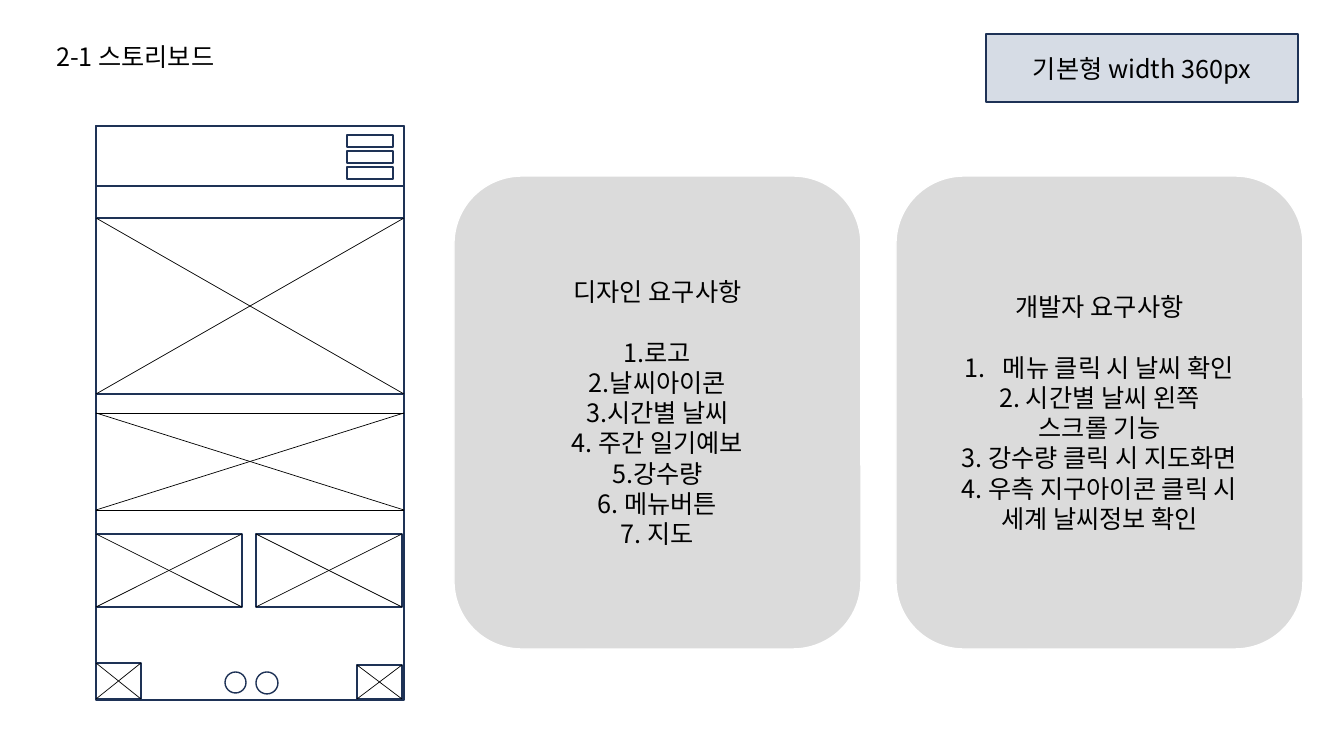
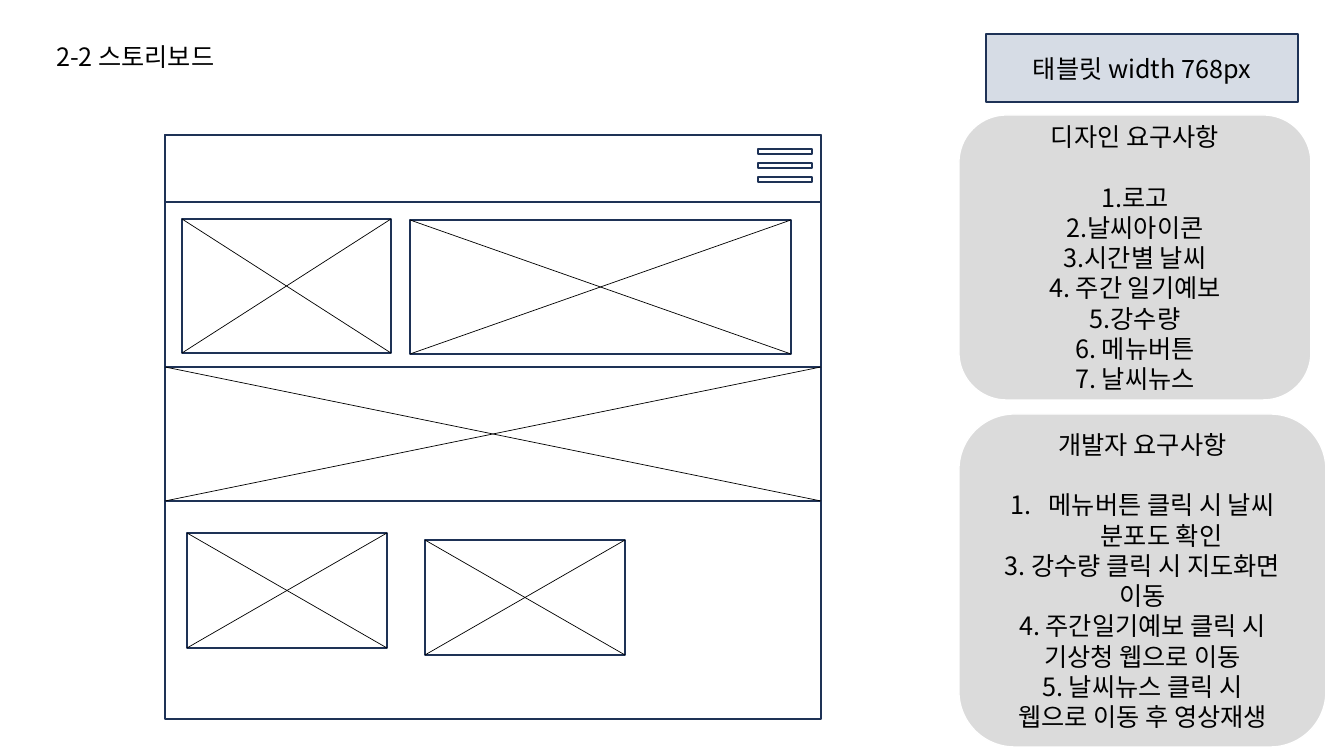
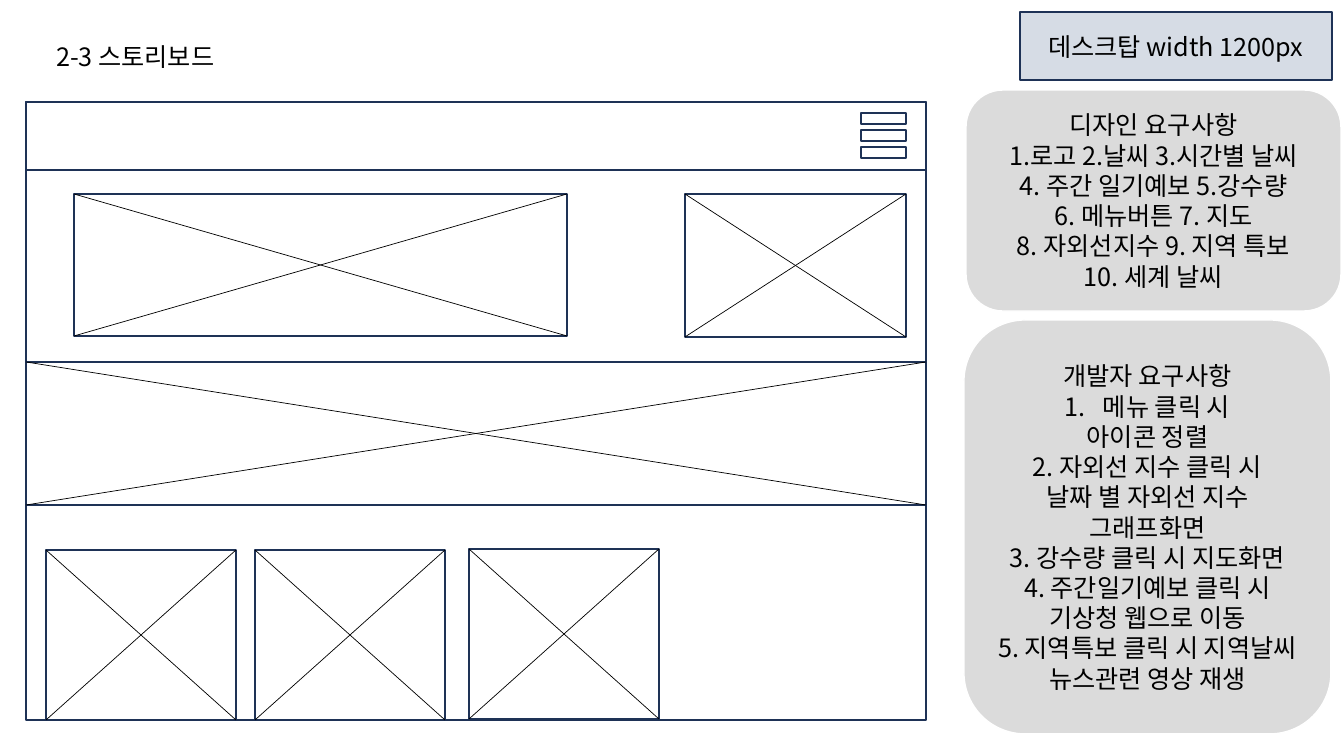
from dataclasses import dataclass

from lxml import etree
from pptx import Presentation
from pptx.dml.color import RGBColor
from pptx.enum.shapes import MSO_CONNECTOR, MSO_SHAPE
from pptx.enum.text import MSO_ANCHOR, PP_ALIGN
from pptx.oxml.ns import qn
from pptx.util import Emu, Pt

RECT, ROUND, OVAL = MSO_SHAPE.RECTANGLE, MSO_SHAPE.ROUNDED_RECTANGLE, MSO_SHAPE.OVAL
STRAIGHT = MSO_CONNECTOR.STRAIGHT
TOP, MIDDLE = MSO_ANCHOR.TOP, MSO_ANCHOR.MIDDLE
LEFT, CENTER = PP_ALIGN.LEFT, PP_ALIGN.CENTER

# Content: boxes are (left, top, width, height) in pixels.
# A card is (box, heading, items, blank line below the heading, numbered first item).
DESIGN, DEVELOPER = "디자인 요구사항", "개발자 요구사항"
COMMON_DESIGN = ["1.로고", "2.날씨아이콘", "3.시간별 날씨", "4. 주간 일기예보",
                 "5.강수량", "6. 메뉴버튼"]
STORYBOARDS = [
    {
        "title": "2-1 스토리보드",
        "tag": ("기본형 width 360px", (986, 34, 312, 68)),
        "cards": [
            ((454, 176, 407, 473), DESIGN, COMMON_DESIGN + ["7. 지도"], True, False),
            ((896, 176, 407, 473), DEVELOPER,
             ["메뉴 클릭 시 날씨 확인", "2. 시간별 날씨 왼쪽", "스크롤 기능",
              "3. 강수량 클릭 시 지도화면", "4. 우측 지구아이콘 클릭 시",
              "세계 날씨정보 확인"], True, True),
        ],
        "frame": (96, 126, 308, 574), "header": 60,
        "menu": (347, 135, 46, 12), "menu_pitch": 16,
        "images": [(96, 218, 308, 176), (96, 534, 146, 73), (256, 534, 146, 73),
                   (357, 665, 45, 34), (96, 663, 45, 36)],
        "strips": [(96, 413, 308, 97)],
        "dots": [(225, 672, 21, 21), (256, 672, 22, 22)],
    },
    {
        "title": "2-2 스토리보드",
        "tag": ("태블릿 width 768px", (986, 34, 312, 68)),
        "cards": [
            ((959, 115, 352, 285), DESIGN, COMMON_DESIGN + ["7. 날씨뉴스"], True, False),
            ((959, 414, 367, 333), DEVELOPER,
             ["메뉴버튼 클릭 시 날씨 분포도 확인", "3. 강수량 클릭 시 지도화면 이동",
              "4. 주간일기예보 클릭 시", "기상청 웹으로 이동",
              "5. 날씨뉴스 클릭 시", "웹으로 이동 후 영상재생"], True, True),
        ],
        "frame": (165, 135, 656, 584), "header": 67,
        "menu": (758, 149, 54, 5), "menu_pitch": 14,
        "images": [(182, 219, 209, 134), (410, 220, 381, 134), (165, 367, 656, 134),
                   (187, 533, 200, 115), (425, 540, 200, 115)],
        "strips": [], "dots": [],
    },
    {
        "title": "2-3 스토리보드",
        "tag": ("데스크탑 width 1200px", (1020, 12, 312, 68)),
        "cards": [
            ((966, 90, 375, 221), DESIGN,
             ["1.로고 2.날씨 3.시간별 날씨", "4. 주간 일기예보 5.강수량",
              "6. 메뉴버튼 7. 지도", "8. 자외선지수 9. 지역 특보", "10. 세계 날씨"],
             False, False),
            ((964, 320, 367, 414), DEVELOPER,
             ["메뉴 클릭 시", "아이콘 정렬", "2. 자외선 지수 클릭 시",
              "날짜 별 자외선 지수", "그래프화면", "3. 강수량 클릭 시 지도화면",
              "4. 주간일기예보 클릭 시", "기상청 웹으로 이동",
              "5. 지역특보 클릭 시 지역날씨 뉴스관련 영상 재생"], False, True),
        ],
        "frame": (26, 102, 900, 618), "header": 68,
        "menu": (861, 113, 45, 11), "menu_pitch": 17,
        "images": [(74, 194, 493, 142), (685, 194, 221, 143), (26, 362, 900, 143),
                   (46, 550, 190, 170), (255, 550, 190, 170), (469, 549, 190, 170)],
        "strips": [], "dots": [],
    },
]


@dataclass(frozen=True)
class Theme:
    font: str = "Noto Sans CJK KR"
    size: float = 18
    leading: float = 21.6
    ink: str = "000000"
    outline: str = "1E3256"
    tag: str = "D6DCE5"
    card: str = "DBDBDB"
    card_edge: str = "FFFFFF"
    outline_width: float = 1
    cross_width: float = 0.5


THEME = Theme()
PX = 914400 / 100.8
TITLE_BOX = (46, 36, 479, 40)
NUMBER_INDENT = 38


def px(length):
    return Emu(round(length * PX))


def color(value):
    return RGBColor.from_string(value)


# Text
def write(paragraph, text, align=CENTER):
    paragraph.alignment = align
    paragraph.line_spacing = Pt(THEME.leading)
    run = paragraph.add_run()
    run.text = text
    run.font.name = THEME.font
    run.font.size = Pt(THEME.size)
    run.font.color.rgb = color(THEME.ink)
    east_asian = etree.SubElement(run.font._element, qn("a:ea"))
    east_asian.set("typeface", THEME.font)


def number(paragraph):
    properties = paragraph._p.get_or_add_pPr()
    properties.set("marL", str(px(NUMBER_INDENT)))
    properties.set("indent", str(-px(NUMBER_INDENT)))
    etree.SubElement(properties, qn("a:buFont")).set("typeface", THEME.font)
    etree.SubElement(properties, qn("a:buAutoNum")).set("type", "arabicPeriod")


# Shapes
def add_box(slide, kind, box, fill=None, edge=THEME.outline):
    shape = slide.shapes.add_shape(kind, *map(px, box))
    shape.shadow.inherit = False
    if fill:
        shape.fill.solid()
        shape.fill.fore_color.rgb = color(fill)
    else:
        shape.fill.background()
    shape.line.color.rgb = color(edge)
    shape.line.width = Pt(THEME.outline_width)
    shape.text_frame.vertical_anchor = MIDDLE
    return shape


def add_line(slide, x1, y1, x2, y2):
    line = slide.shapes.add_connector(STRAIGHT, px(x1), px(y1), px(x2), px(y2))
    line.line.color.rgb = color(THEME.ink)
    line.line.width = Pt(THEME.cross_width)
    etree.SubElement(line._element.spPr, qn("a:effectLst"))


def add_cross(slide, box):
    left, top, width, height = box
    right, bottom = left + width, top + height
    add_line(slide, left, top, right, bottom)
    add_line(slide, right, top, left, bottom)


def add_card(slide, box, heading, items, spaced, numbered):
    frame = add_box(slide, ROUND, box, THEME.card, THEME.card_edge).text_frame
    frame.word_wrap = True
    write(frame.paragraphs[0], heading)
    if spaced:
        frame.paragraphs[0].space_after = Pt(THEME.leading)
    for index, item in enumerate(items):
        paragraph = frame.add_paragraph()
        write(paragraph, item)
        if numbered and index == 0:
            number(paragraph)


def add_wireframe(slide, board):
    left, top, width, _ = board["frame"]
    add_box(slide, RECT, board["frame"])
    add_box(slide, RECT, (left, top, width, board["header"]))
    menu_left, menu_top, menu_width, bar_height = board["menu"]
    for bar in range(3):
        bar_top = menu_top + bar * board["menu_pitch"]
        add_box(slide, RECT, (menu_left, bar_top, menu_width, bar_height))
    for image in board["images"]:
        add_box(slide, RECT, image)
        add_cross(slide, image)
    for strip in board["strips"]:
        left, top, width, height = strip
        for edge in (top, top + height):
            add_line(slide, left, edge, left + width, edge)
        add_cross(slide, strip)
    for dot in board["dots"]:
        add_box(slide, OVAL, dot)


# Shared title position
deck = Presentation()
deck.slide_width, deck.slide_height = px(1344), px(756)
layout = deck.slide_layouts.get_by_name("Title Only")
heading_area = layout.placeholders[0]
(heading_area.left, heading_area.top,
 heading_area.width, heading_area.height) = map(px, TITLE_BOX)
heading_area.text_frame.vertical_anchor = TOP

# Slides
for board in STORYBOARDS:
    slide = deck.slides.add_slide(layout)
    write(slide.shapes.title.text_frame.paragraphs[0], board["title"], LEFT)
    for card in board["cards"]:
        add_card(slide, *card)
    label, tag_box = board["tag"]
    tag = add_box(slide, RECT, tag_box, THEME.tag)
    tag.text_frame.word_wrap = True
    write(tag.text_frame.paragraphs[0], label)
    add_wireframe(slide, board)

deck.save("out.pptx")
